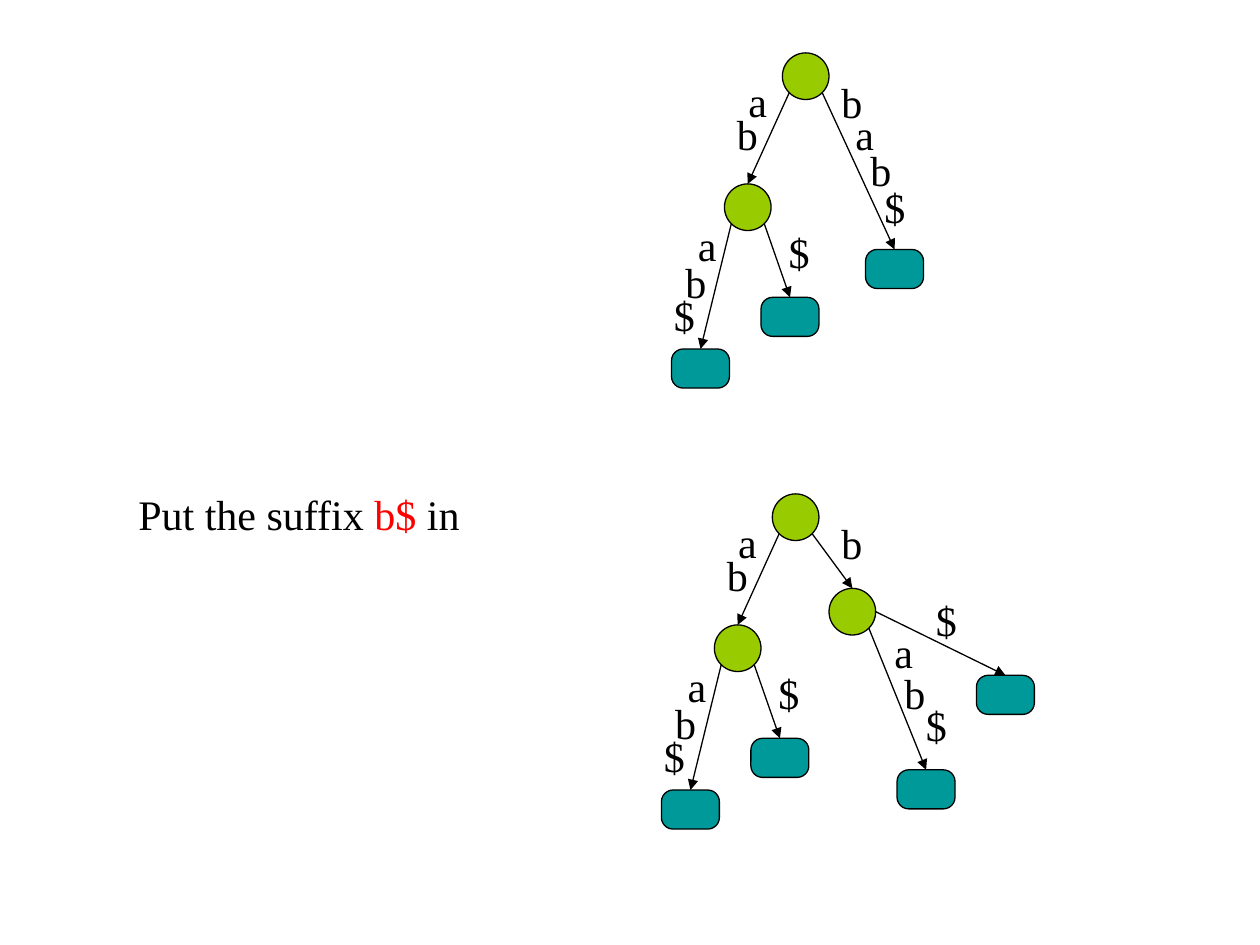
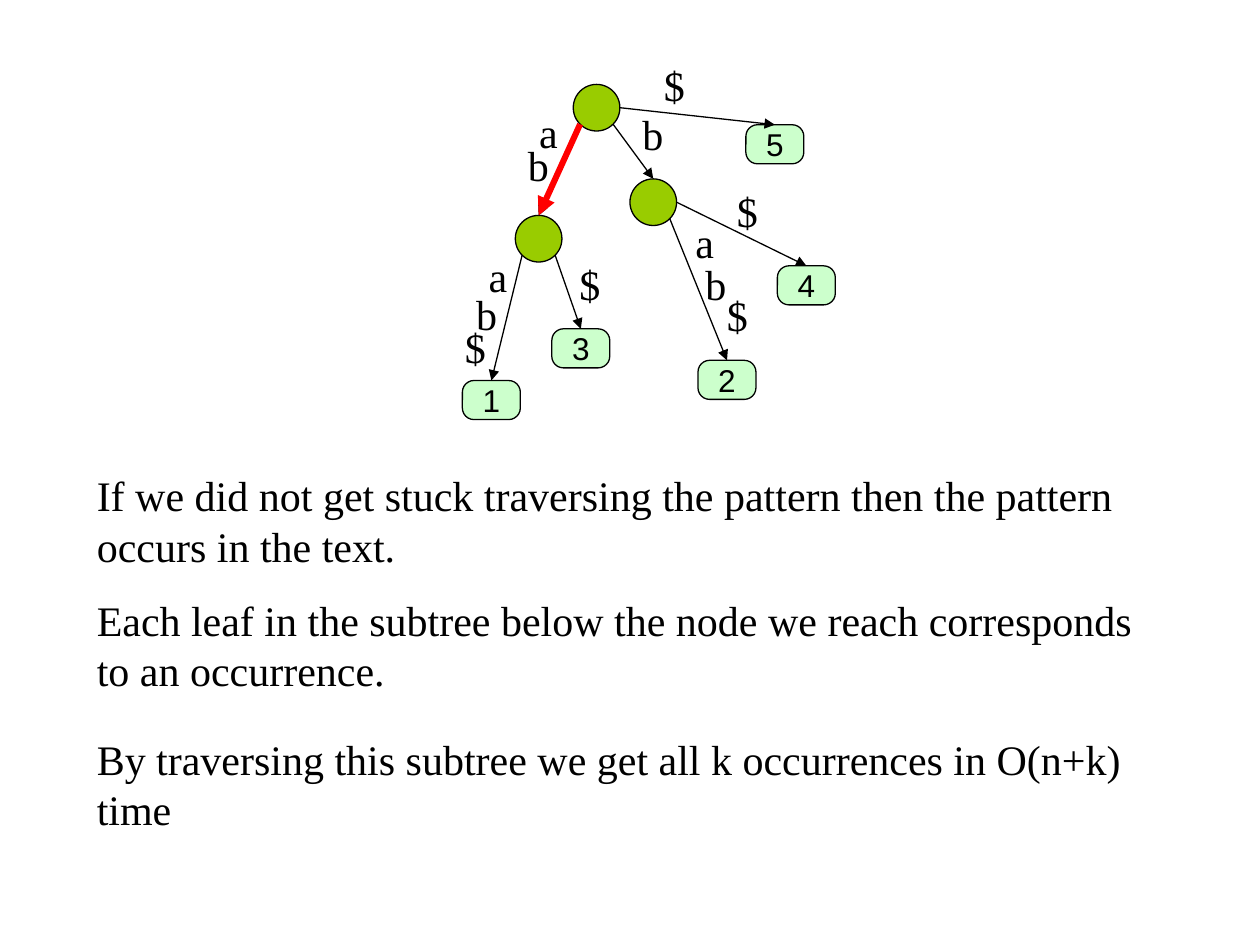
from dataclasses import dataclass

from lxml.etree import SubElement
from pptx import Presentation
from pptx.dml.color import RGBColor
from pptx.enum.shapes import MSO_CONNECTOR, MSO_SHAPE
from pptx.enum.text import MSO_ANCHOR, PP_ALIGN
from pptx.oxml.ns import qn
from pptx.util import Inches, Pt


@dataclass(frozen=True)
class Theme:
    """Colours, fonts and sizes shared by the slides."""
    ink: RGBColor = RGBColor(0x00, 0x00, 0x00)
    accent: RGBColor = RGBColor(0xFF, 0x00, 0x00)
    node: RGBColor = RGBColor(0x99, 0xCC, 0x00)
    leaf: RGBColor = RGBColor(0x00, 0x99, 0x99)
    numbered_leaf: RGBColor = RGBColor(0xCC, 0xFF, 0xCC)
    body_font: str = "Times New Roman"
    leaf_font: str = "Arial"
    body_size: Pt = Pt(24)
    leaf_size: Pt = Pt(18)
    thin: Pt = Pt(0.74)
    thick: Pt = Pt(3.49)
    node_size: float = 0.37
    leaf_width: float = 0.46
    leaf_height: float = 0.31


@dataclass(frozen=True)
class Branch:
    """An edge and its end; places are inches from the root's corner."""
    side: str
    at: tuple
    letters: tuple
    number: str = ""
    kids: tuple = ()


THEME = Theme()

# Where an edge leaves a circle, as fractions of its diameter
EXITS = {"left": (0.146, 0.854), "right": (0.854, 0.854), "east": (1, 0.5)}

AB = Branch("left", (-0.46, 1.04), (("a", -0.37, 0.13), ("b", -0.46, 0.39)), kids=(
    Branch("left", (-0.88, 2.35),
           (("a", -0.77, 1.27), ("b", -0.87, 1.57), ("$", -0.96, 1.83)), "1"),
    Branch("right", (-0.17, 1.94), (("$", -0.05, 1.33),), "3"),
))
BAB = Branch("right", (0.66, 1.56),
             (("b", 0.37, 0.14), ("a", 0.48, 0.39), ("b", 0.6, 0.68), ("$", 0.71, 0.97)), "2")
B_SPLIT = Branch("right", (0.45, 0.75), (("b", 0.45, 0.14),), kids=(
    Branch("right", (0.99, 2.19),
           (("a", 0.87, 1.0), ("b", 0.95, 1.33), ("$", 1.12, 1.58)), "2"),
    Branch("east", (1.62, 1.44), (("$", 1.2, 0.75),), "4"),
))
END = Branch("east", (1.37, 0.32), (("$", 0.62, -0.25),), "5")


def format_run(r, font, size, color):
    """Set the font of one run."""
    r.font.name, r.font.size = font, size
    r.font.color.rgb = color


def add_text(s, left, top, width, height, parts, before=15):
    """Add one paragraph made of (text, colour) parts."""
    tf = s.shapes.add_textbox(Inches(left), Inches(top),
                              Inches(width), Inches(height)).text_frame
    tf.word_wrap = True
    p = tf.paragraphs[0]
    p.space_before = Pt(before)
    for text, color in parts:
        r = p.add_run()
        r.text = text
        format_run(r, THEME.body_font, THEME.body_size, color)


def add_outlined(s, kind, left, top, width, height, fill):
    """Add a filled preset shape with a thin outline."""
    sp = s.shapes.add_shape(kind, Inches(left), Inches(top), Inches(width), Inches(height))
    sp.shadow.inherit = False
    sp.fill.solid()
    sp.fill.fore_color.rgb = fill
    sp.line.color.rgb = THEME.ink
    sp.line.width = THEME.thin
    return sp


def add_node(s, left, top):
    """Add an inner node of a tree."""
    size = THEME.node_size
    add_outlined(s, MSO_SHAPE.OVAL, left, top, size, size, THEME.node)


def add_leaf(s, left, top, number):
    """Add a leaf, pale if it carries a number."""
    fill = THEME.numbered_leaf if number else THEME.leaf
    sp = add_outlined(s, MSO_SHAPE.ROUNDED_RECTANGLE, left, top,
                      THEME.leaf_width, THEME.leaf_height, fill)
    sp.adjustments[0] = 0.297
    if number:
        tf = sp.text_frame
        tf.text = number
        tf.word_wrap = False
        tf.vertical_anchor = MSO_ANCHOR.MIDDLE
        p = tf.paragraphs[0]
        p.alignment = PP_ALIGN.CENTER
        format_run(p.runs[0], THEME.leaf_font, THEME.leaf_size, THEME.ink)


def add_edge(s, root, parent, branch, color=THEME.ink, width=THEME.thin):
    """Add the arrow from a parent node to the top of a branch's end."""
    fx, fy = EXITS[branch.side]
    size = THEME.node_size
    end_width = size if branch.kids else THEME.leaf_width
    x, y = root[0] + parent[0], root[1] + parent[1]
    line = s.shapes.add_connector(
        MSO_CONNECTOR.STRAIGHT, Inches(x + fx * size), Inches(y + fy * size),
        Inches(root[0] + branch.at[0] + end_width / 2), Inches(root[1] + branch.at[1]))
    line.line.color.rgb = color
    line.line.width = width
    SubElement(line.line._get_or_add_ln(), qn("a:tailEnd"), type="triangle")
    SubElement(line._element.spPr, qn("a:effectLst"))


def add_branches(s, root, parent, branches, numbered):
    """Add the branches below a parent, each with its letters and end."""
    for branch in branches:
        left, top = root[0] + branch.at[0], root[1] + branch.at[1]
        if branch.kids:
            add_node(s, left, top)
        else:
            add_leaf(s, left, top, branch.number if numbered else "")
        add_edge(s, root, parent, branch)
        for letter, dx, dy in branch.letters:
            add_text(s, root[0] + dx, root[1] + dy, 0.42, 0.5, [(letter, THEME.ink)])
        add_branches(s, root, branch.at, branch.kids, numbered)


def add_tree(s, root, branches, numbered=False):
    """Add a suffix tree whose root has its top left corner at root."""
    add_node(s, *root)
    add_branches(s, root, (0, 0), branches, numbered)


def build_insert_slide(prs):
    """Show the tree before and after a suffix is put in."""
    s = prs.slides.add_slide(prs.slide_layouts[6])
    add_text(s, 1, 3.83, 3.83, 0.5, [("Put the suffix ", THEME.ink),
                                     ("b$", THEME.accent), (" in", THEME.ink)], 11.2)
    add_tree(s, (6.21, 0.42), (AB, BAB))
    add_tree(s, (6.13, 3.92), (AB, B_SPLIT))


def build_search_slide(prs):
    """Show a search in the numbered tree and what it yields."""
    s = prs.slides.add_slide(prs.slide_layouts[6])
    root = (4.55, 0.67)
    add_tree(s, root, (AB, B_SPLIT, END), numbered=True)
    add_edge(s, root, (0, 0), AB, THEME.accent, THEME.thick)
    for top, text in (
        (3.68, "If we did not get stuck traversing the pattern then the pattern "
               "occurs in the text."),
        (4.67, "Each leaf in the subtree below the node we reach corresponds "
               "to an occurrence."),
        (5.77, "By traversing this subtree we get all k occurrences in O(n+k) time"),
    ):
        add_text(s, 0.67, top, 8.5, 0.9, [(text, THEME.ink)])


prs = Presentation()
prs.slide_width, prs.slide_height = Inches(10), Inches(7.5)
build_insert_slide(prs)
build_search_slide(prs)
prs.save("out.pptx")
